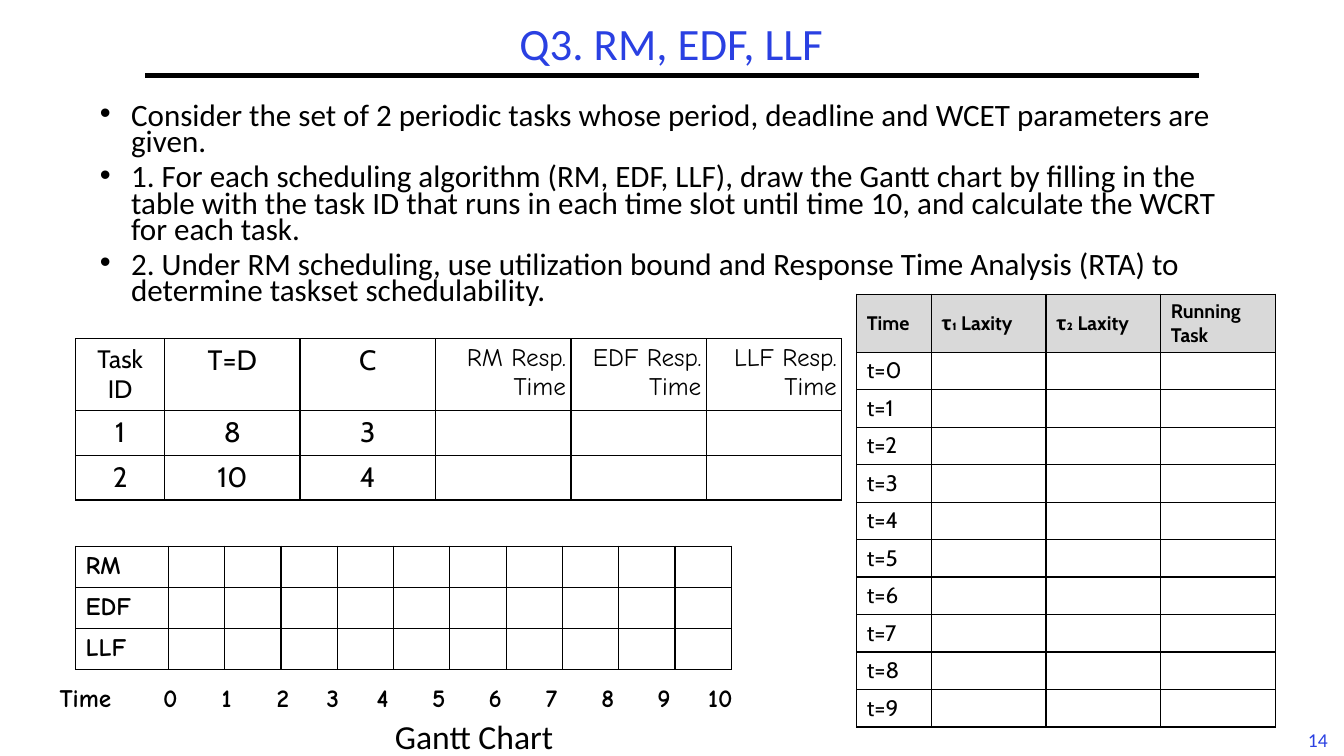
from dataclasses import dataclass
from typing import NamedTuple

from lxml import etree
from pptx import Presentation
from pptx.dml.color import RGBColor
from pptx.enum.shapes import MSO_CONNECTOR
from pptx.enum.text import MSO_ANCHOR, MSO_AUTO_SIZE, PP_ALIGN
from pptx.oxml.ns import qn
from pptx.util import Inches, Pt

LEFT, CENTER, RIGHT = PP_ALIGN.LEFT, PP_ALIGN.CENTER, PP_ALIGN.RIGHT
TOP, MIDDLE = MSO_ANCHOR.TOP, MSO_ANCHOR.MIDDLE
BLACK = RGBColor(0x00, 0x00, 0x00)
BLUE = RGBColor(0x2A, 0x40, 0xE2)
GREY = RGBColor(0xD9, 0xD9, 0xD9)
NO_TABLE_STYLE = "{2D5ABB26-0587-4C30-8999-92F81FD0307C}"

prs = Presentation()
prs.slide_width, prs.slide_height = Inches(13.33), Inches(7.5)


def across(percent: float) -> int:
    return round(prs.slide_width * percent / 100)


def down(percent: float) -> int:
    return round(prs.slide_height * percent / 100)


class Box(NamedTuple):
    """A place on the slide, in percent of its width and height."""
    left: float
    top: float
    width: float
    height: float

    def emu(self) -> tuple:
        return (across(self.left), down(self.top),
                across(self.width), down(self.height))


class Style(NamedTuple):
    font: str
    size: float
    bold: bool = False
    align: PP_ALIGN = LEFT
    color: RGBColor = BLACK
    anchor: MSO_ANCHOR = TOP
    margin: float = 0.1
    fill: RGBColor | None = None


class Cell(NamedTuple):
    text: str
    style: Style


@dataclass
class Grid:
    """A table: corner, column widths and row heights in percent."""
    left: float
    top: float
    cols: list[float]
    rows: list[float]
    cells: list[list[Cell]]
    ruled: bool = True


def format_paragraph(p, style: Style) -> None:
    p.alignment = style.align
    p.font.name, p.font.size = style.font, Pt(style.size)
    p.font.bold = style.bold
    p.font.color.rgb = style.color


def add_borders(cell) -> None:
    tc_pr = cell._tc.get_or_add_tcPr()
    for side in ("lnL", "lnR", "lnT", "lnB"):
        ln = etree.SubElement(tc_pr, qn(f"a:{side}"), w=str(Pt(1)))
        fill = etree.SubElement(ln, qn("a:solidFill"))
        etree.SubElement(fill, qn("a:srgbClr"), val=str(BLACK))


def fill_cell(cell, content: Cell, ruled: bool) -> None:
    style = content.style
    if ruled:
        add_borders(cell)
    if style.fill is None:
        cell.fill.background()
    else:
        cell.fill.solid()
        cell.fill.fore_color.rgb = style.fill
    cell.vertical_anchor = style.anchor
    cell.margin_left = cell.margin_right = Inches(style.margin)
    cell.text = content.text
    format_paragraph(cell.text_frame.paragraphs[0], style)


def add_grid(s, grid: Grid) -> None:
    box = Box(grid.left, grid.top, sum(grid.cols), sum(grid.rows))
    frame = s.shapes.add_table(len(grid.rows), len(grid.cols), *box.emu())
    table = frame.table
    table.first_row = table.horz_banding = False
    table._tbl.tblPr.find(qn("a:tableStyleId")).text = NO_TABLE_STYLE
    for column, width in zip(table.columns, grid.cols):
        column.width = across(width)
    for row, height in zip(table.rows, grid.rows):
        row.height = down(height)
    for r, line in enumerate(grid.cells):
        for c, content in enumerate(line):
            fill_cell(table.cell(r, c), content, grid.ruled)


def add_label(s, box: Box, text: str, style: Style, wrap: bool = True) -> None:
    tf = s.shapes.add_textbox(*box.emu()).text_frame
    tf.word_wrap = wrap
    tf.text = text
    format_paragraph(tf.paragraphs[0], style)


def place(sp, box: Box, anchor: MSO_ANCHOR) -> None:
    sp.left, sp.top, sp.width, sp.height = box.emu()
    sp.text_frame.auto_size = MSO_AUTO_SIZE.NONE
    sp.text_frame.vertical_anchor = anchor


def add_bullet(p) -> None:
    p_pr = p._p.get_or_add_pPr()
    p_pr.set("marL", str(Inches(0.31)))
    p_pr.set("indent", str(-Inches(0.31)))
    etree.SubElement(p_pr, qn("a:buChar"), char="•")


s = prs.slides.add_slide(prs.slide_layouts[1])
title, body = s.placeholders

# Title and the rule beneath it
place(title, Box(10.8, 2.27, 78.3, 7.73), MIDDLE)
title.text_frame.text = "Q3. RM, EDF, LLF"
p = title.text_frame.paragraphs[0]
p.line_spacing = 0.9
format_paragraph(p, Style("Calibri", 32, align=CENTER, color=BLUE))

rule = s.shapes.add_connector(MSO_CONNECTOR.STRAIGHT, across(10.8), down(10),
                              across(89.2), down(10))
rule.line.color.rgb, rule.line.width = BLACK, Pt(3)
etree.SubElement(rule._element.spPr, qn("a:effectLst"))

# Questions
QUESTIONS = [
    "Consider the set of 2 periodic tasks whose period, deadline and WCET "
    "parameters are given.",
    "1. For each scheduling algorithm (RM, EDF, LLF), draw the Gantt chart by "
    "filling in the table with the task ID that runs in each time slot until "
    "time 10, and calculate the WCRT for each task.",
    "2. Under RM scheduling, use utilization bound and Response Time Analysis "
    "(RTA) to determine taskset schedulability.",
]
place(body, Box(6.68, 13.33, 86.7, 28.93), TOP)
tf = body.text_frame
for i, question in enumerate(QUESTIONS):
    p = tf.add_paragraph() if i else tf.paragraphs[0]
    p.text = question
    add_bullet(p)
    p.line_spacing = 0.7
    p.space_before = Pt(6.5 if i else 0)
    format_paragraph(p, Style("Calibri", 22.2))

# Gantt chart with its time axis
ALGORITHMS = ["RM", "EDF", "LLF"]
SLOT, NAME_COL, GANTT_ROW = 4.19, 6.9, 5.43
gantt = Style("Comic Neue", 18, bold=True)
tick = gantt._replace(align=CENTER)
add_grid(s, Grid(5.63, 72.27, [NAME_COL] + [SLOT] * 10, [GANTT_ROW] * 3,
                 [[Cell(name, gantt)] + [Cell("", gantt)] * 10
                  for name in ALGORITHMS]))
add_grid(s, Grid(3.68, 89.87, [NAME_COL] + [SLOT] * 3 + [3.23] + [SLOT] * 7,
                 [GANTT_ROW],
                 [[Cell("Time", gantt)] + [Cell(str(t), tick) for t in range(11)]],
                 ruled=False))
add_label(s, Box(28.65, 94, 13.73, 5.73), "Gantt Chart", Style("Calibri", 24))

# Task parameters and response times
TASKS = [("1", "8", "3"), ("2", "10", "4")]
value = Style("Cabin", 20, align=CENTER, margin=0.19)
response = Style("Comic Neue", 18, align=RIGHT, margin=0.05)
task_head = [Cell("Task ID", value._replace(size=18)), Cell("T=D", value),
             Cell("C", value)]
task_head += [Cell(f"{name} Resp. Time", response) for name in ALGORITHMS]
add_grid(s, Grid(5.63, 44.8, [6.62] + [10.08] * 5, [9.5, 5.92, 5.92],
                 [task_head] + [[Cell(v, value) for v in task]
                                + [Cell("", response)] * 3 for task in TASKS]))

# Laxity at each time step
head = Style("Cabin", 14, bold=True, anchor=MIDDLE, fill=GREY)
step = Style("Cabin", 16, anchor=MIDDLE)
LAXITY_HEAD = ["Time", "τ₁ Laxity", "τ₂ Laxity", "Running Task"]
add_grid(s, Grid(63.75, 38.93, [5.55] + [8.53] * 3, [7.67] + [4.96] * 10,
                 [[Cell(text, head) for text in LAXITY_HEAD]]
                 + [[Cell(f"t={t}", step)] + [Cell("", step)] * 3
                    for t in range(10)]))

# Slide number
add_label(s, Box(96.45, 95.6, 3.23, 4.4), "14",
          Style("Calibri", 14, align=CENTER, color=BLUE), wrap=False)

prs.save("out.pptx")
